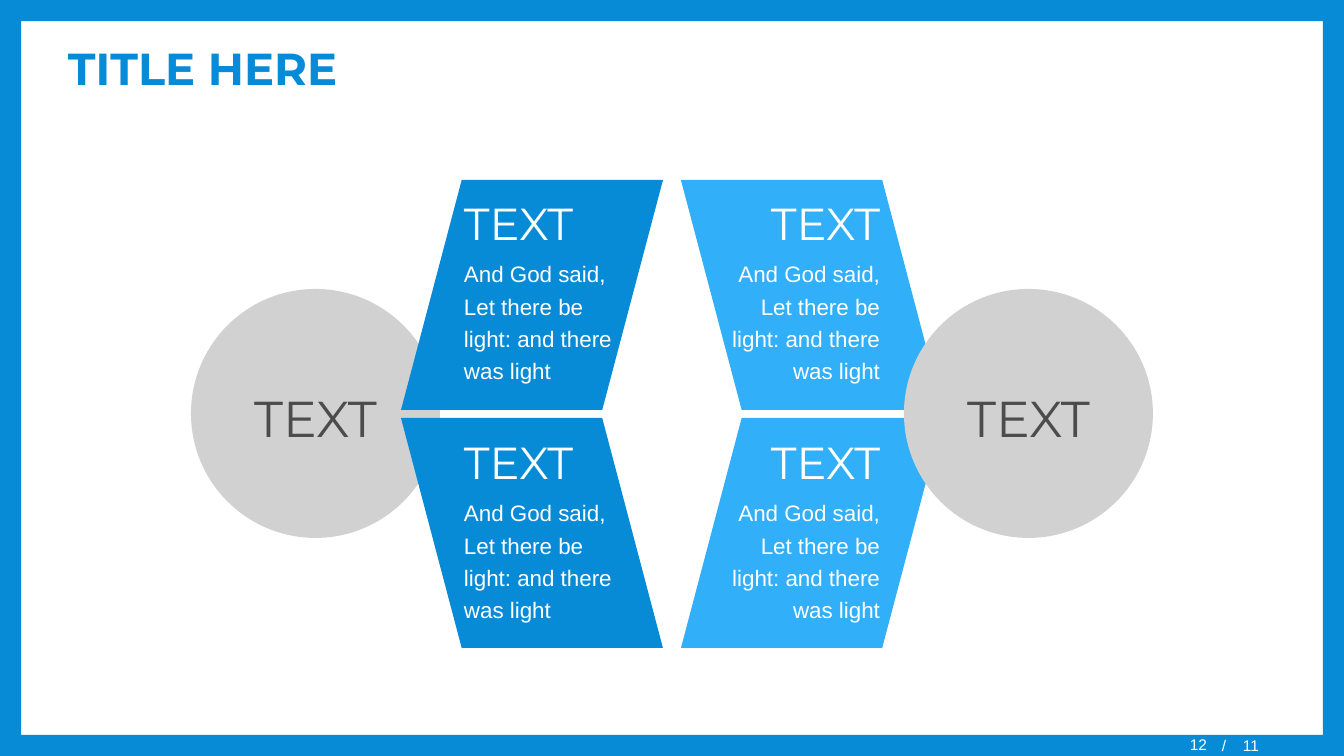
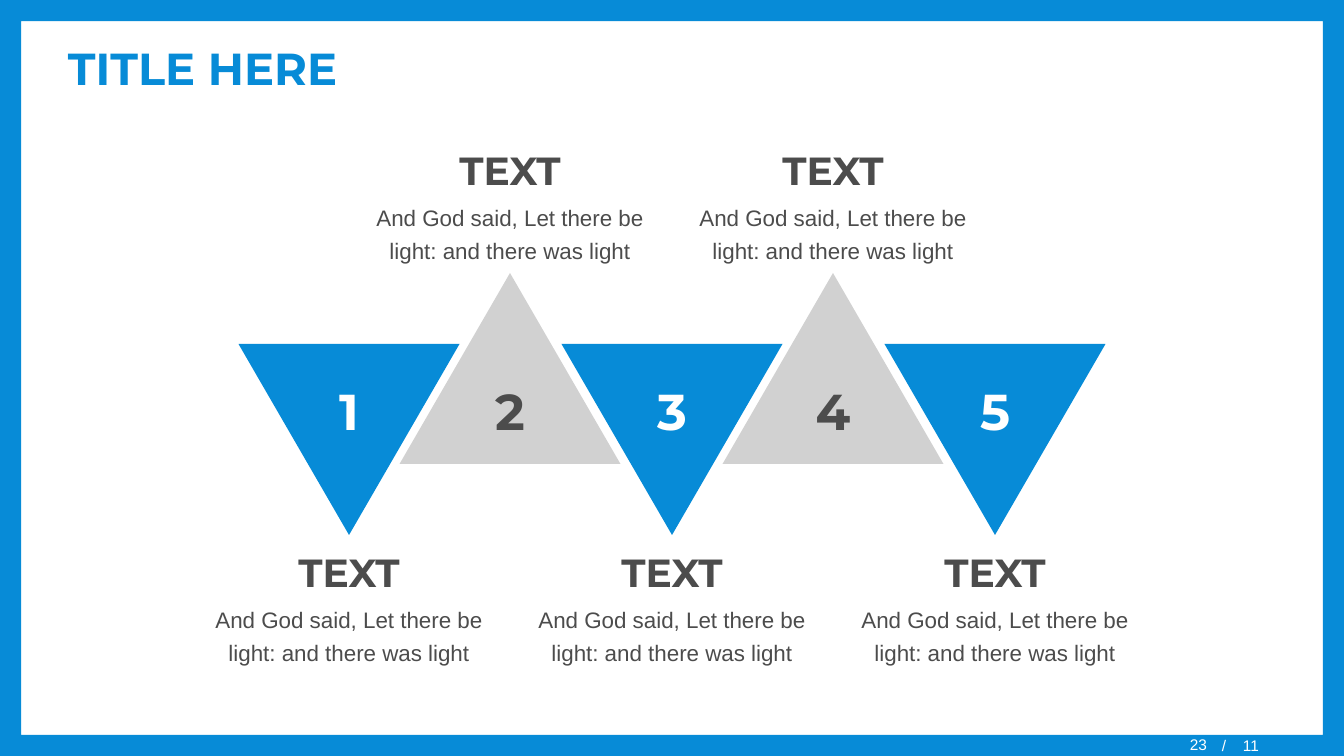
from lxml import etree
from pptx import Presentation
from pptx.dml.color import RGBColor
from pptx.enum.shapes import MSO_SHAPE
from pptx.enum.text import MSO_ANCHOR, PP_ALIGN
from pptx.oxml.ns import qn
from pptx.util import Emu, Pt

FRAME, OVAL = MSO_SHAPE.FRAME, MSO_SHAPE.OVAL
PARALLELOGRAM, TRIANGLE = MSO_SHAPE.PARALLELOGRAM, MSO_SHAPE.ISOSCELES_TRIANGLE
TOP, MIDDLE = MSO_ANCHOR.TOP, MSO_ANCHOR.MIDDLE
LEFT, CENTER, RIGHT = PP_ALIGN.LEFT, PP_ALIGN.CENTER, PP_ALIGN.RIGHT

HEADING_FONT, BODY_FONT = "Montserrat", "Arial"
COLORS = {
    "blue": "078BD7",
    "sky": "31AFF8",
    "gray": "D1D1D1",
    "dark": "4C4C4C",
    "white": "FFFFFF",
}

TITLE = "TITLE HERE"
PAGE_TOTAL = "11"
HEADING = "TEXT"
BODY = "And God said, Let there be light: and there was light"
BLADE_PAGE, TRIANGLE_PAGE = "12", "23"
SIDES = [
    {"circle": HEADING, "color": "blue", "align": LEFT,
     "blades": [(HEADING, BODY), (HEADING, BODY)]},
    {"circle": HEADING, "color": "sky", "align": RIGHT,
     "blades": [(HEADING, BODY), (HEADING, BODY)]},
]
STEPS = [(str(number), HEADING, BODY) for number in range(1, 6)]

SLIDE_WIDTH, SLIDE_HEIGHT = 1344, 756
MIDDLE_X = SLIDE_WIDTH // 2
EMU_PER_PX = 914400 / 100.8


def px(length):
    return Emu(round(length * EMU_PER_PX))


def mirror(left, width, mirrored):
    return SLIDE_WIDTH - left - width if mirrored else left


def add_filled(slide, preset, box, color, adjustment=None, flip=False, rotation=0):
    shape = slide.shapes.add_shape(preset, *map(px, box))
    shape.shadow.inherit = False
    shape.fill.solid()
    shape.fill.fore_color.rgb = RGBColor.from_string(COLORS[color])
    shape.line.fill.background()
    shape.rotation = rotation
    if adjustment is not None:
        shape.adjustments[0] = adjustment
    if flip:
        shape._element.spPr.xfrm.set("flipH", "1")


def add_text(slide, box, text, size, color, font=HEADING_FONT, bold=False, align=LEFT,
             anchor=TOP, spacing=1.0, body=None, insets=(10, 5, 10, 5), tab=None):
    frame = slide.shapes.add_textbox(*map(px, box)).text_frame
    frame.word_wrap = True
    frame.vertical_anchor = anchor
    (frame.margin_left, frame.margin_top,
     frame.margin_right, frame.margin_bottom) = map(px, insets)
    lines = [(text, size, font, bold)]
    if body:
        lines.append((body, 16, BODY_FONT, False))
    for index, (line, points, typeface, heavy) in enumerate(lines):
        paragraph = frame.add_paragraph() if index else frame.paragraphs[0]
        paragraph.alignment = align
        paragraph.line_spacing = spacing
        if body:
            paragraph.space_before = Pt(2 if index else 0)
            paragraph.space_after = Pt(2)
        if tab:
            tabs = etree.SubElement(paragraph._p.get_or_add_pPr(), qn("a:tabLst"))
            etree.SubElement(tabs, qn("a:tab"), pos=str(px(tab)), algn="l")
        run = paragraph.add_run()
        run.text = line
        run.font.name = typeface
        run.font.size = Pt(points)
        run.font.bold = heavy
        run.font.color.rgb = RGBColor.from_string(COLORS[color])


def add_base_slide(presentation, page):
    slide = presentation.slides.add_slide(presentation.slide_layouts[6])
    add_filled(slide, FRAME, (0, 0, SLIDE_WIDTH, SLIDE_HEIGHT), "blue", 0.028)
    add_text(slide, (58, 28, 1228, 80), TITLE, 32, "blue", bold=True, anchor=MIDDLE)
    footer = {"size": 11, "color": "white", "font": BODY_FONT, "anchor": MIDDLE}
    add_text(slide, (1212, 736, 132, 18), f"/\t{PAGE_TOTAL}", tab=21, **footer)
    add_text(slide, (956, 738, 261, 18), page, align=RIGHT, insets=(10, 0, 10, 5), **footer)
    return slide


def add_circle(slide, side, mirrored):
    diameter, label_width = 249, 183
    left = mirror(191, diameter, mirrored)
    add_filled(slide, OVAL, (left, 289, diameter, diameter), "gray")
    label_left = left + (diameter - label_width) // 2
    add_text(slide, (label_left, 370, label_width, 84), side["circle"], 36, "dark",
             align=CENTER, spacing=1.2)


def add_blades(slide, side, mirrored):
    width, height, text_width = 262, 230, 178
    for row, (heading, body) in enumerate(side["blades"]):
        box = (mirror(401, width, mirrored), 180 + 238 * row, width, height)
        add_filled(slide, PARALLELOGRAM, box, side["color"], 0.264, flip=bool(row) != mirrored)
        text_box = (mirror(454, text_width, mirrored), 180 + 239 * row, text_width, 212)
        add_text(slide, text_box, heading, 32, "white", align=side["align"],
                 spacing=1.2, body=body)


def build_blade_slide(presentation):
    slide = add_base_slide(presentation, BLADE_PAGE)
    left_side, right_side = SIDES
    add_circle(slide, left_side, False)
    add_blades(slide, left_side, False)
    add_blades(slide, right_side, True)
    add_circle(slide, right_side, True)


def build_triangle_slide(presentation):
    slide = add_base_slide(presentation, TRIANGLE_PAGE)
    width, height, caption_width, number_width = 221, 191, 304, 119
    for index, (number, heading, body) in enumerate(STEPS):
        center = MIDDLE_X + (index - len(STEPS) // 2) * 323 // 2
        upward = index % 2 == 1
        top, caption_top = (273, 132) if upward else (344, 534)
        add_filled(slide, TRIANGLE, (center - width / 2, top, width, height),
                   "gray" if upward else "blue", rotation=0 if upward else 180)
        add_text(slide, (center - number_width / 2, 363, number_width, 84), number, 36,
                 "dark" if upward else "white", bold=True, align=CENTER, spacing=1.2)
        add_text(slide, (center - caption_width / 2, caption_top, caption_width, 138),
                 heading, 28, "dark", bold=True, align=CENTER, spacing=1.2, body=body)


def main():
    presentation = Presentation()
    presentation.slide_width = px(SLIDE_WIDTH)
    presentation.slide_height = px(SLIDE_HEIGHT)
    build_blade_slide(presentation)
    build_triangle_slide(presentation)
    presentation.save("out.pptx")


if __name__ == "__main__":
    main()
